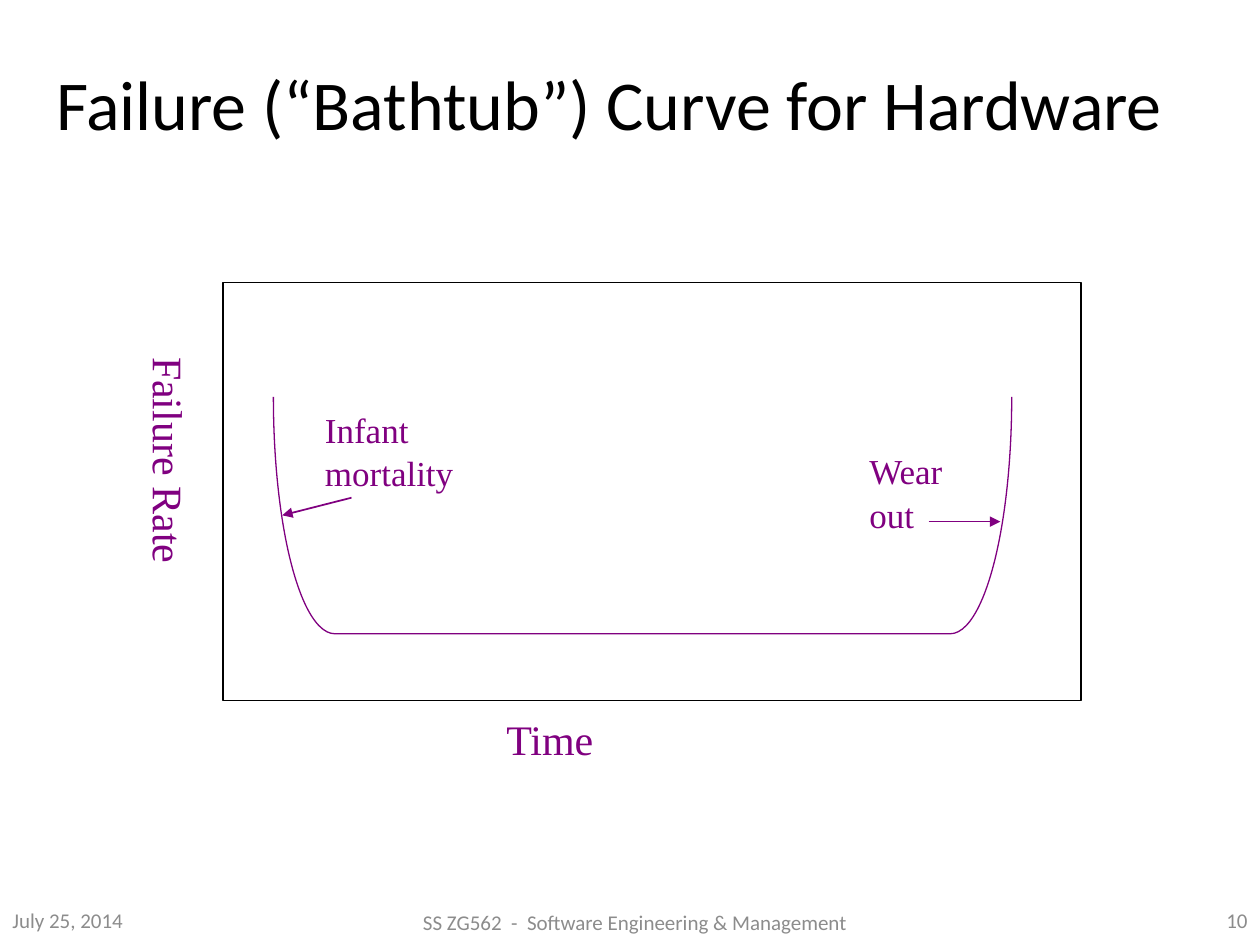
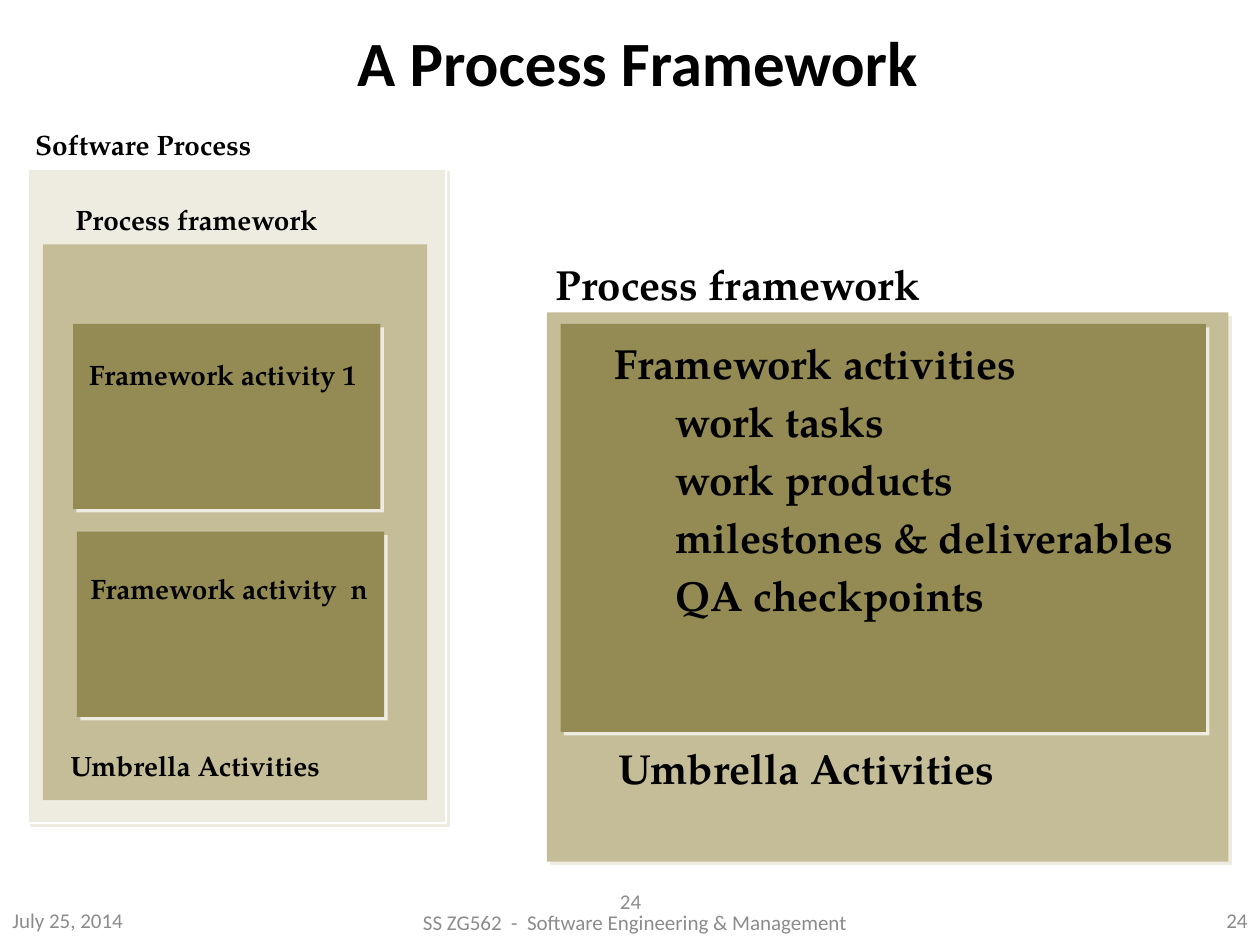
from dataclasses import dataclass

from lxml import etree
from pptx import Presentation
from pptx.dml.color import RGBColor
from pptx.enum.shapes import MSO_CONNECTOR, MSO_SHAPE
from pptx.enum.text import MSO_ANCHOR, MSO_AUTO_SIZE, PP_ALIGN
from pptx.oxml.ns import qn
from pptx.util import Pt

PX = 9144
RECT = MSO_SHAPE.RECTANGLE
BRACKET = MSO_SHAPE.LEFT_BRACKET
STRAIGHT = MSO_CONNECTOR.STRAIGHT
LEFT, CENTER, RIGHT = PP_ALIGN.LEFT, PP_ALIGN.CENTER, PP_ALIGN.RIGHT
TOP, MIDDLE = MSO_ANCHOR.TOP, MSO_ANCHOR.MIDDLE
NO_FIT = MSO_AUTO_SIZE.NONE
TITLE_ONLY, TITLE_AND_CONTENT = 5, 1


@dataclass(frozen=True)
class Style:
    font: str
    size: int
    color: str
    bold: bool = False


@dataclass(frozen=True)
class Theme:
    black: str = "000000"
    white: str = "FFFFFF"
    curve: str = "800080"
    cream: str = "EEECE1"
    sand: str = "C4BD97"
    olive: str = "948A54"
    title: Style = Style("Calibri", 40, "000000")
    strong_title: Style = Style("Calibri", 36, "000000", True)
    footer: Style = Style("Calibri", 12, "8C8C8C")
    axis: Style = Style("Times New Roman", 24, "800080")
    note: Style = Style("Times New Roman", 20, "800080")
    label: Style = Style("TeX Gyre Pagella", 16, "000000", True)
    outline: Style = Style("TeX Gyre Pagella", 24, "000000", True)


THEME = Theme()


@dataclass(frozen=True)
class Box:
    x: int
    y: int
    w: int
    h: int

    def inner(self, dx, dy, w, h):
        return Box(self.x + dx, self.y + dy, w, h)

    def emu(self):
        return [v * PX for v in (self.x, self.y, self.w, self.h)]


PAGE = Box(0, 0, 1000, 750)


def rgb(color):
    return RGBColor.from_string(color)


def write(paragraph, text, style):
    run = paragraph.add_run()
    run.text = text
    font = run.font
    font.name, font.size, font.bold = style.font, Pt(style.size), style.bold
    font.color.rgb = rgb(style.color)


def add_text(slide, box, lines, style, align=LEFT, anchor=TOP, spacing=None, inset=10, gap=0):
    holder = slide.shapes.add_textbox(*box.emu())
    frame = holder.text_frame
    frame.word_wrap = True
    frame.vertical_anchor = anchor
    frame.margin_left = inset * PX
    for index, line in enumerate(lines):
        paragraph = frame.add_paragraph() if index else frame.paragraphs[0]
        paragraph.alignment = align
        paragraph.line_spacing = spacing
        if index and gap:
            paragraph.space_before = Pt(gap)
        write(paragraph, line, style)
    return holder


def place(placeholder, box):
    placeholder.left, placeholder.top, placeholder.width, placeholder.height = box.emu()
    placeholder.text_frame.auto_size = NO_FIT


def add_title(slide, box, text, style):
    title = slide.shapes.title
    place(title, box)
    title.text_frame.vertical_anchor = MIDDLE
    paragraph = title.text_frame.paragraphs[0]
    paragraph.alignment = CENTER
    write(paragraph, text, style)


def add_footer(slide, page_number):
    for box, text, align in (
        (PAGE.inner(767, 710, 233, 40), page_number, RIGHT),
        (PAGE.inner(0, 710, 233, 40), "July 25, 2014", LEFT),
        (PAGE.inner(303, 714, 402, 36), "SS ZG562  -  Software Engineering & Management", CENTER),
    ):
        add_text(slide, box, [text], THEME.footer, align, MIDDLE)


def add_outline(slide, preset, box, color):
    outline = slide.shapes.add_shape(preset, *box.emu())
    outline.shadow.inherit = False
    outline.fill.background()
    outline.line.color.rgb = rgb(color)
    outline.line.width = Pt(0.75)
    return outline


def add_panel(slide, box, color, edge=None):
    panel = slide.shapes.add_shape(RECT, *box.emu())
    panel.shadow.inherit = False
    panel.fill.solid()
    panel.fill.fore_color.rgb = rgb(color)
    if edge:
        panel.line.color.rgb = rgb(edge)
        panel.line.width = Pt(1)
    else:
        panel.line.fill.background()
    effects = panel.element.spPr.find(qn("a:effectLst"))
    shadow = etree.SubElement(effects, qn("a:outerShdw"), blurRad="0", dist=str(Pt(2.8)),
                              dir="2700000", algn="ctr", rotWithShape="0")
    etree.SubElement(shadow, qn("a:srgbClr"), val=THEME.cream)


def add_arrow(slide, box, start, end):
    ends = [(box.x + dx, box.y + dy) for dx, dy in (start, end)]
    arrow = slide.shapes.add_connector(STRAIGHT, *(v * PX for point in ends for v in point))
    arrow.line.color.rgb = rgb(THEME.curve)
    arrow.line.width = Pt(1)
    etree.SubElement(arrow.line._get_or_add_ln(), qn("a:tailEnd"), type="triangle")
    etree.SubElement(arrow.element.spPr, qn("a:effectLst"))


def add_bathtub_plot(slide, box):
    add_outline(slide, RECT, box, THEME.black)
    add_text(slide, box.inner(215, 337, 94, 50), ["Time"], THEME.axis)
    failure_rate = add_text(slide, box.inner(-142, 124, 199, 50), ["Failure Rate"], THEME.axis)
    failure_rate.rotation = 90
    bathtub = add_outline(slide, BRACKET, box.inner(239, -108, 188, 586), THEME.curve)
    bathtub.rotation = 270
    bathtub.adjustments[0] = 0.26
    add_text(slide, box.inner(71, 95, 131, 77), ["Infant", "mortality"], THEME.note, gap=1)
    add_text(slide, box.inner(496, 128, 90, 77), ["Wear", "out"], THEME.note, inset=17, gap=1)
    add_arrow(slide, box, (102, 171), (47, 185))
    add_arrow(slide, box, (560, 190), (617, 190))


def add_label(slide, box, text):
    add_text(slide, box, [text], THEME.label, spacing=1.15)


def add_process_overview(slide, box):
    add_panel(slide, box, THEME.cream, THEME.white)
    add_panel(slide, box.inner(12, 60, 305, 441), THEME.sand)
    for dx, dy in ((36, 123), (39, 288)):
        add_panel(slide, box.inner(dx, dy, 244, 147), THEME.olive)
    for dx, dy, text in (
        (-4, -42, "Software Process"),
        (28, 18, "Process framework"),
        (39, 141, "Framework activity 1"),
        (40, 311, "Framework activity  n"),
        (24, 451, "Umbrella Activities"),
    ):
        add_label(slide, box.inner(dx, dy, 265, 38), text)


def add_framework_detail(slide, box):
    add_panel(slide, box, THEME.sand)
    add_panel(slide, box.inner(11, 9, 512, 324), THEME.olive)
    activities = slide.placeholders[1]
    place(activities, box.inner(-3, -54, 553, 445))
    slide.shapes.element.append(activities.element)
    frame = activities.text_frame
    frame.vertical_anchor = TOP
    for index, (text, level, indent, before, after) in enumerate((
        ("Process framework", 0, 0, 0, 12),
        ("Framework activities", 1, 47, 0, 0),
        ("work tasks", 2, 95, 0, 0),
        ("work products", 2, 95, 0, 0),
        ("milestones & deliverables", 2, 95, 0, 0),
        ("QA checkpoints", 2, 95, 0, 0),
        ("Umbrella Activities", 1, 50, 66, 0),
    )):
        paragraph = frame.add_paragraph() if index else frame.paragraphs[0]
        properties = paragraph._p.get_or_add_pPr()
        properties.set("marL", str(indent * PX))
        properties.set("indent", "0")
        etree.SubElement(properties, qn("a:buNone"))
        paragraph.level = level
        paragraph.alignment = LEFT
        paragraph.line_spacing = 1.15
        paragraph.space_before, paragraph.space_after = Pt(before), Pt(after)
        write(paragraph, text, THEME.outline)


def build_failure_curve(deck):
    slide = deck.slides.add_slide(deck.slide_layouts[TITLE_ONLY])
    add_title(slide, PAGE.inner(12, 52, 943, 58), "Failure (“Bathtub”) Curve for Hardware", THEME.title)
    add_bathtub_plot(slide, PAGE.inner(177, 224, 681, 332))
    add_footer(slide, "10")


def build_process_framework(deck):
    slide = deck.slides.add_slide(deck.slide_layouts[TITLE_AND_CONTENT])
    add_title(slide, PAGE.inner(230, 16, 552, 66), "A Process Framework", THEME.strong_title)
    add_process_overview(slide, PAGE.inner(22, 134, 332, 519))
    add_framework_detail(slide, PAGE.inner(434, 248, 541, 436))
    add_text(slide, PAGE.inner(342, 695, 317, 40), ["24"], THEME.footer, CENTER, MIDDLE)
    add_footer(slide, "24")


def main():
    deck = Presentation()
    deck.slide_width, deck.slide_height = PAGE.w * PX, PAGE.h * PX
    build_failure_curve(deck)
    build_process_framework(deck)
    deck.save("out.pptx")


if __name__ == "__main__":
    main()
